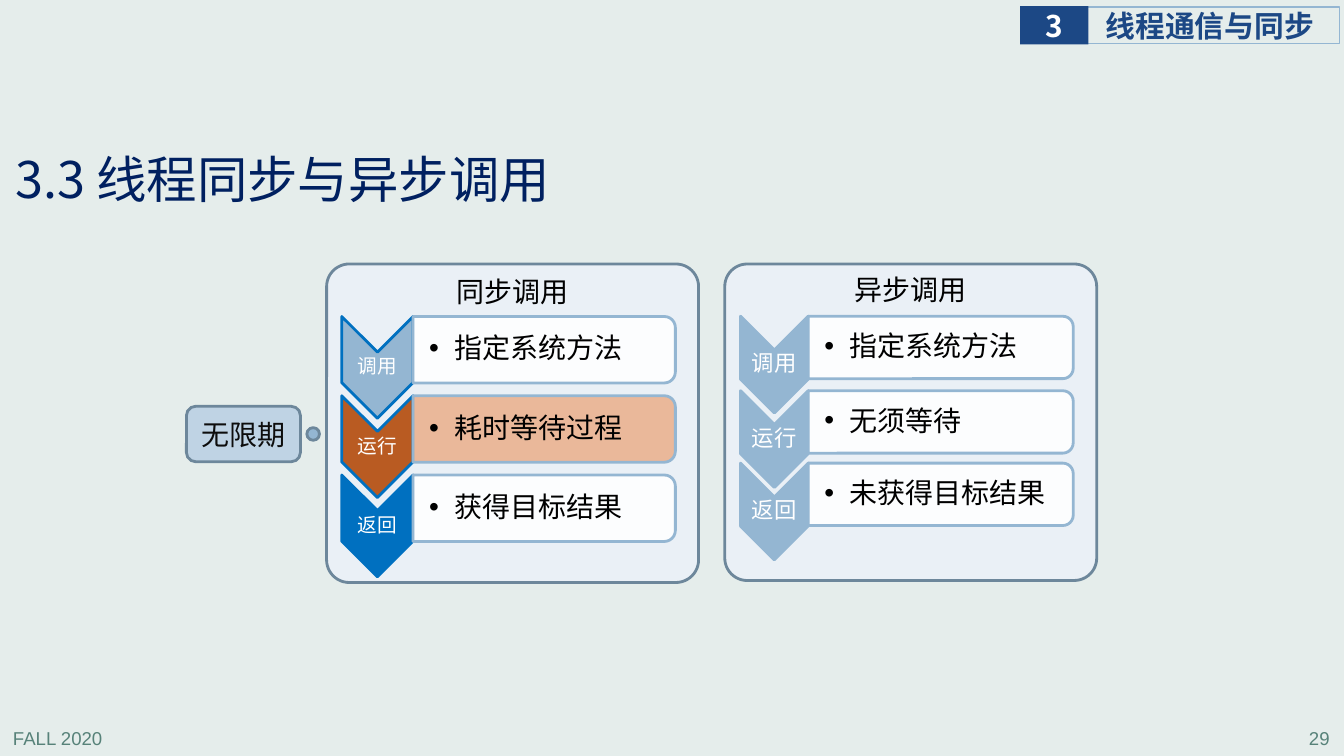
import pptx
import pptx.util
import pptx.dml.color
import pptx.enum.shapes
import pptx.enum.text
import pptx.oxml
import pptx.oxml.ns

Pt = pptx.util.Pt
SHAPE = pptx.enum.shapes.MSO_SHAPE
ALIGN = pptx.enum.text.PP_ALIGN
ANCHOR = pptx.enum.text.MSO_ANCHOR
qn = pptx.oxml.ns.qn

SANS = "Noto Sans CJK SC"
COLORS = {
    "background": "E5EDEB", "footer": "578279", "navy": "1C4885", "title": "002060",
    "panel": "EAF0F6", "outline": "6D879B", "steel": "94B6D2", "blue": "0070C0",
    "rust": "B95B22", "peach": "EBB391", "tag": "BFD3E4", "ink": "0D0D0D",
    "white": "FFFFFF", "black": "000000",
}
DEFAULT_INSETS = (7.2, 3.6, 7.2, 3.6)


def color(name):
    return pptx.dml.color.RGBColor.from_string(COLORS[name])


def set_text(box, text, size, ink, font=SANS, bold=False, align=ALIGN.LEFT,
             anchor=ANCHOR.MIDDLE, insets=DEFAULT_INSETS, wrap=True, spacing=None):
    frame = box.text_frame
    frame.text = text
    frame.word_wrap = wrap
    frame.vertical_anchor = anchor
    (frame.margin_left, frame.margin_top,
     frame.margin_right, frame.margin_bottom) = map(Pt, insets)
    para = frame.paragraphs[0]
    para.alignment = align
    para.line_spacing = spacing
    span = para.runs[0]
    span.font.name, span.font.size, span.font.bold = font, Pt(size), bold
    span.font.color.rgb = color(ink)
    east_asian = pptx.oxml.parse_xml(
        f'<a:ea {pptx.oxml.ns.nsdecls("a")} typeface="{SANS}"/>')
    span.font._element.find(qn("a:latin")).addnext(east_asian)
    return para


def add_text(page, box, text, size, ink, **style):
    return set_text(page.shapes.add_textbox(*map(Pt, box)), text, size, ink, **style)


def add_shape(page, kind, box, fill=None, line=None, width=2, turned=False):
    """Draw a shape that fills the box; a turned one is rotated by 90 degrees."""
    left, top, wide, high = box
    if turned:
        left, top = left + (wide - high) / 2, top + (high - wide) / 2
        wide, high = high, wide
    shape = page.shapes.add_shape(kind, Pt(left), Pt(top), Pt(wide), Pt(high))
    shape.shadow.inherit = False
    shape.rotation = 90 if turned else 0
    if fill:
        shape.fill.solid()
        shape.fill.fore_color.rgb = color(fill)
    else:
        shape.fill.background()
    if line:
        shape.line.color.rgb = color(line)
        shape.line.width = Pt(width)
    else:
        shape.line.fill.background()
    return shape


def add_header(page, box, number, name):
    left, top, wide, high = box
    number_wide = 48.9
    frame = add_shape(page, SHAPE.RECTANGLE,
                      (left + number_wide - 1, top + 0.7, wide - number_wide + 1, high - 1.4),
                      line="steel", width=0.75)
    set_text(frame, name, 21.3, "navy", bold=True, insets=(13.4, 0, 0, 0))
    badge = add_shape(page, SHAPE.RECTANGLE, (left, top, number_wide, high), "navy")
    set_text(badge, number, 21.3, "white", bold=True, align=ALIGN.CENTER,
             insets=(0, 0, 0, 0), wrap=False)


def add_footer(page, box, term, number):
    left, top, wide, high = box
    part = 200
    style = dict(font="Arial", anchor=ANCHOR.TOP)
    add_text(page, (left, top, part, high), term, 13.3, "footer", **style)
    add_text(page, (left + wide - part, top, part, high), number, 13.3, "footer",
             align=ALIGN.RIGHT, **style)


def add_step(page, box, chevron_high, label, label_size, label_font, text, fill, line, bar_fill):
    """One row: a downward chevron with its label, then a bar with a bullet."""
    left, top, wide, high = box
    chevron_wide = chevron_high * 0.7
    add_shape(page, SHAPE.CHEVRON, (left, top, chevron_wide, chevron_high),
              fill, line, turned=True)
    add_text(page, (left, top + chevron_wide / 2, chevron_wide, chevron_high - chevron_wide),
             label, label_size, "white", font=label_font, align=ALIGN.CENTER,
             insets=(0.7,) * 4, spacing=0.9)

    bar_left, bar_wide = left + chevron_wide, wide - chevron_wide
    bar = add_shape(page, SHAPE.ROUND_2_SAME_RECTANGLE, (bar_left, top, bar_wide, high),
                    bar_fill, "steel", turned=True)
    bar_color = bar.fill._xPr.find(qn("a:solidFill"))[0]
    bar_color.append(pptx.oxml.parse_xml(
        f'<a:alpha {pptx.oxml.ns.nsdecls("a")} val="90000"/>'))

    para = add_text(page, (bar_left, top + 2, bar_wide - 3, high - 4), text, 20, "black",
                    insets=(11.5, 0.7, 0.7, 0.7), spacing=0.9)
    properties = para._p.get_or_add_pPr()
    properties.set("marL", str(Pt(18)))
    properties.set("indent", str(-Pt(18)))
    for tag, key, value in (("buFont", "typeface", "Arial"), ("buChar", "char", "•")):
        properties.append(pptx.oxml.parse_xml(
            f'<a:{tag} {pptx.oxml.ns.nsdecls("a")} {key}="{value}"/>'))


def add_panel(page, box, heading, heading_top, steps_box, row_tops, chevron_high,
              label_size, label_font, steps):
    """A rounded panel; the steps box gives the first row relative to the panel."""
    left, top, wide, high = box
    panel = add_shape(page, SHAPE.ROUNDED_RECTANGLE, box, "panel", "outline")
    panel.adjustments[0] = 0.071
    heading_wide = 95
    add_text(page, (left + (wide - heading_wide) / 2, top + heading_top, heading_wide, 31.7),
             heading, 20, "black", anchor=ANCHOR.TOP, wrap=False)
    step_left, step_top, step_wide, step_high = steps_box
    for row_top, step in zip(row_tops, steps):
        add_step(page, (left + step_left, top + step_top + row_top, step_wide, step_high),
                 chevron_high, label_size=label_size, label_font=label_font, **step)


def add_wait_tag(page, box, text):
    left, top, wide, high = box
    dot = 9
    tag = add_shape(page, SHAPE.ROUNDED_RECTANGLE, box, "tag", "outline")
    set_text(tag, text, 20, "ink", align=ALIGN.CENTER)
    add_shape(page, SHAPE.OVAL, (left + wide + 4.6, top + (high - dot) / 2, dot, dot),
              "steel", "outline")


def step(label, text, fill="steel", line="steel", bar_fill="white"):
    return dict(label=label, text=text, fill=fill, line=line, bar_fill=bar_fill)


def main():
    deck = pptx.Presentation()
    deck.slide_width, deck.slide_height = Pt(960), Pt(540)
    page = deck.slides.add_slide(deck.slide_layouts[6])
    page.background.fill.solid()
    page.background.fill.fore_color.rgb = color("background")

    # Header, title and footer
    add_header(page, (728.6, 4.3, 228, 27.4), "3", "线程通信与同步")
    add_text(page, (5, 102.2, 447, 56.2), "3.3 线程同步与异步调用", 36, "title",
             insets=(5.8, 2.9, 5.8, 2.9), spacing=0.9)
    add_footer(page, (2.2, 515.5, 954.7, 22.3), "FALL 2020", "29")

    # Asynchronous and synchronous calls
    add_panel(page, (517.7, 188.6, 265.7, 226.1), "异步调用", 2.2,
              (11.2, 37.3, 237.7, 44.6), (0, 53.2, 104.9), 69.1, 16, "Calibri",
              [step("调用", "指定系统方法"), step("运行", "无须等待"),
               step("返回", "未获得目标结果")])
    add_panel(page, (233.3, 188.6, 265.7, 227.5), "同步调用", 3.6,
              (10.8, 37.5, 238.3, 47.5), (0, 56.6, 113.2), 72.7, 14, SANS,
              [step("调用", "指定系统方法", line="blue"),
               step("运行", "耗时等待过程", "rust", "blue", "peach"),
               step("返回", "获得目标结果", "blue", "blue")])

    # Waiting time
    add_wait_tag(page, (133.2, 290.2, 81.4, 39.6), "无限期")

    deck.save("out.pptx")


if __name__ == "__main__":
    main()
